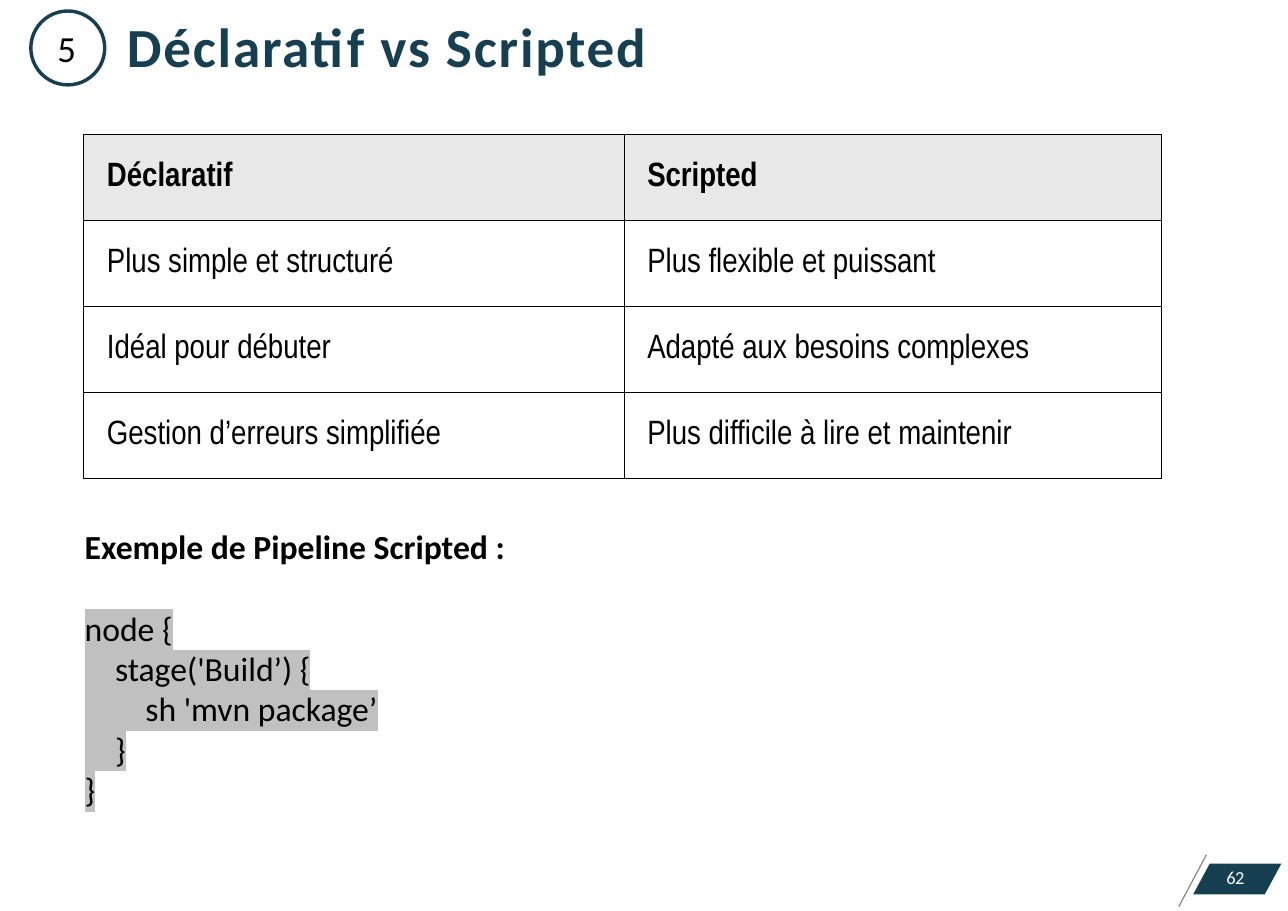
from pptx import Presentation
from pptx.dml.color import RGBColor
from pptx.enum.shapes import MSO_CONNECTOR as CONN, MSO_SHAPE as SHAPE
from pptx.enum.text import MSO_ANCHOR as ANCHOR, MSO_AUTO_SIZE as AUTO, PP_ALIGN as ALIGN
from pptx.oxml import parse_xml
from pptx.oxml.ns import nsdecls
from pptx.util import Inches, Pt

TEAL, BLACK, WHITE = "164052", "000000", "FFFFFF"
GREY, HEADER, CODE = "828385", "E8E8E8", "C0C0C0"


def rgb(color):
    return RGBColor.from_string(color)


def xml(tag, content="", attrs=""):
    return parse_xml(f"<a:{tag} {nsdecls('a')} {attrs}>{content}</a:{tag}>")


def solid(color):
    return f'<a:solidFill><a:srgbClr val="{color}"/></a:solidFill>'


class Deck:
    def __init__(self, width, height, font="Calibri"):
        self.prs = Presentation()
        self.prs.slide_width, self.prs.slide_height = Inches(width), Inches(height)
        self.font = font
        self.s = self.prs.slides.add_slide(self.prs.slide_layouts[5])

    def run(self, p, text, size, color=BLACK, bold=False, font=None, spacing=None, highlight=None):
        r = p.add_run()
        r.text = text
        f = r.font
        f.size, f.bold, f.name = Pt(size), bold, font or self.font
        f.color.rgb = rgb(color)
        rPr = r._r.get_or_add_rPr()
        if spacing:
            rPr.set("spc", str(round(spacing * 100)))
        if highlight:
            mark = xml("highlight", f'<a:srgbClr val="{highlight}"/>')
            rPr.find("{*}solidFill").addnext(mark)

    def frame(self, sp, insets):
        tf = sp.text_frame
        tf.word_wrap, tf.auto_size, tf.vertical_anchor = True, AUTO.NONE, ANCHOR.TOP
        tf.margin_left, tf.margin_top, tf.margin_right, tf.margin_bottom = map(Inches, insets)
        tf.paragraphs[0].alignment = ALIGN.LEFT
        return tf

    def title(self, box, text):
        sp = self.s.shapes.title
        sp.left, sp.top, sp.width, sp.height = map(Inches, box)
        p = self.frame(sp, (0, 0, 0, 0)).paragraphs[0]
        self.run(p, text, 36, TEAL, bold=True, spacing=1.2)

    def text(self, box, insets=(0.1, 0.05, 0.1, 0.05)):
        return self.frame(self.s.shapes.add_textbox(*map(Inches, box)), insets)

    def shape(self, kind, box, fill=None, line=None, weight=1):
        sp = self.s.shapes.add_shape(kind, *map(Inches, box))
        sp.shadow.inherit = False
        if fill:
            sp.fill.solid()
            sp.fill.fore_color.rgb = rgb(fill)
        else:
            sp.fill.background()
        if line:
            sp.line.color.rgb, sp.line.width = rgb(line), Pt(weight)
        else:
            sp.line.fill.background()
        return sp

    def line(self, ends, color, weight):
        c = self.s.shapes.add_connector(CONN.STRAIGHT, *map(Inches, ends))
        c.line.color.rgb, c.line.width = rgb(color), Pt(weight)
        c._element.spPr.append(xml("effectLst"))

    def table(self, left, top, widths, row_height, rows):
        box = (left, top, sum(widths), row_height * len(rows))
        tbl = self.s.shapes.add_table(len(rows), len(widths), *map(Inches, box)).table
        tbl.first_row = tbl.horz_banding = False
        for col, width in zip(tbl.columns, widths):
            col.width = Inches(width)
        for i, row in enumerate(rows):
            for j, text in enumerate(row):
                self.cell(tbl.cell(i, j), text, header=i == 0)

    def cell(self, cell, text, header):
        cell.vertical_anchor = ANCHOR.MIDDLE
        cell.margin_left, cell.margin_right = Inches(0.21), Inches(0.01)
        cell.margin_top = cell.margin_bottom = Inches(0.05)
        for side in ("lnL", "lnR", "lnT", "lnB"):
            cell._tc.get_or_add_tcPr().append(xml(side, solid(BLACK), f'w="{Pt(0.5)}"'))
        if header:
            cell.fill.solid()
            cell.fill.fore_color.rgb = rgb(HEADER)
        else:
            cell.fill.background()
        p = cell.text_frame.paragraphs[0]
        self.run(p, text, 22, bold=header, font="Arial Narrow")


def main():
    d = Deck(11.68, 8.26)

    # Page number corner
    d.line((10.94, 7.75, 10.69, 8.22), GREY, 0.75)
    tab = d.shape(SHAPE.PARALLELOGRAM, (10.82, 7.83, 0.8, 0.28), fill=TEAL)
    tab.adjustments[0] = 0.54
    page = d.text((10.93, 7.8, 0.45, 0.3), (0.19, 0.05, 0, 0.05))
    d.run(page.paragraphs[0], "62", 12, WHITE, spacing=-0.3)

    # Section number and title
    d.shape(SHAPE.OVAL, (0.28, 0.1, 0.67, 0.67), line=TEAL, weight=2.25)
    number = d.text((0.51, 0.21, 0.21, 0.41), (0.01, 0.02, 0, 0))
    d.run(number.paragraphs[0], "5", 24)
    d.title((1.15, 0.11, 9.37, 0.61), "Déclaratif vs Scripted")

    # Comparison table
    d.table(0.76, 1.22, (4.9, 4.87), 0.78, [
        ("Déclaratif", "Scripted"),
        ("Plus simple et structuré", "Plus flexible et puissant"),
        ("Idéal pour débuter", "Adapté aux besoins complexes"),
        ("Gestion d’erreurs simplifiée", "Plus difficile à lire et maintenir"),
    ])

    # Scripted pipeline example
    code = [
        "node {",
        "    stage('Build’) {",
        "        sh 'mvn package’",
        "    }",
        "}",
    ]
    tf = d.text((0.67, 4.72, 10.54, 2.66))
    d.run(tf.paragraphs[0], "Exemple de Pipeline Scripted :", 22, bold=True)
    for i, text in enumerate(code):
        p = tf.add_paragraph()
        p.space_before = Pt(0 if i else 26.8)
        d.run(p, text, 22, highlight=CODE)

    d.prs.save("out.pptx")


if __name__ == "__main__":
    main()
